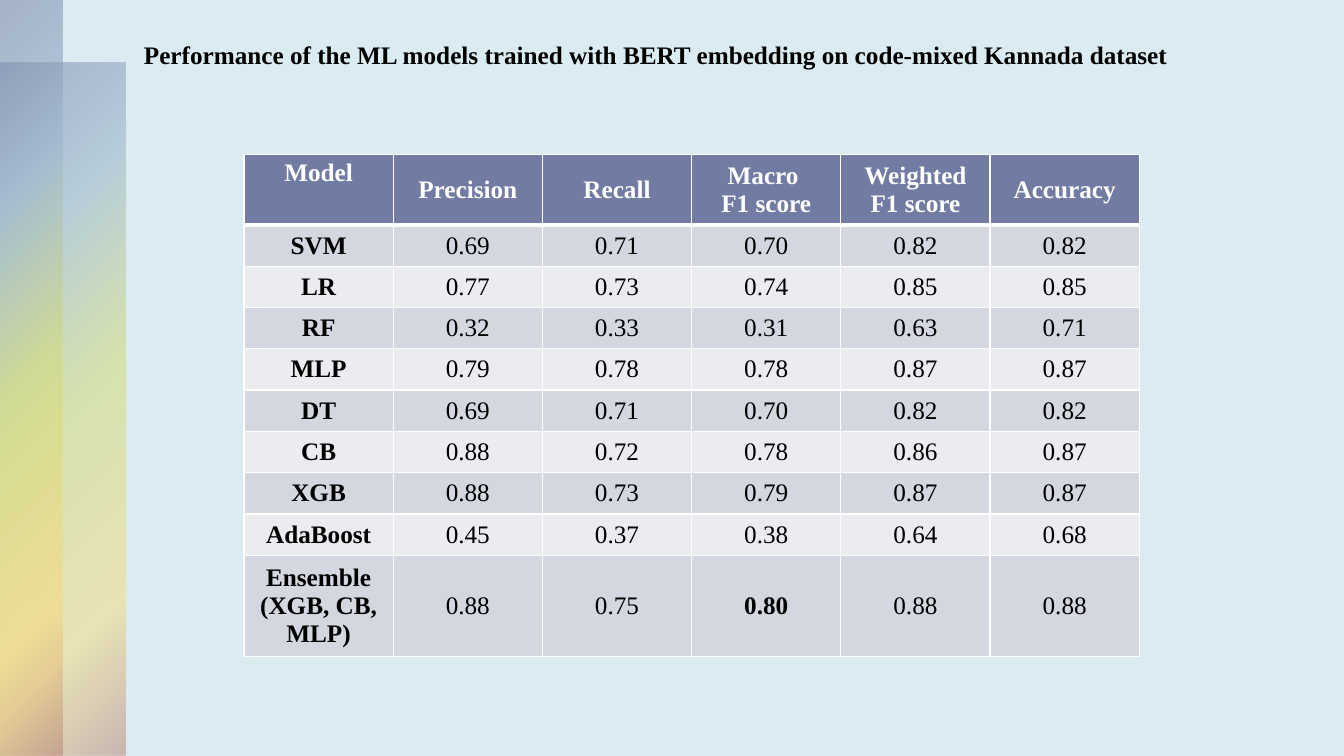
from lxml.etree import SubElement
from pptx import Presentation
from pptx.dml.color import RGBColor
from pptx.enum.shapes import MSO_SHAPE
from pptx.enum.text import MSO_ANCHOR, MSO_AUTO_SIZE, PP_ALIGN
from pptx.oxml import parse_xml
from pptx.oxml.ns import nsdecls, qn
from pptx.util import Inches, Pt

BACKGROUND = RGBColor(0xDA, 0xEC, 0xF1)
HEADER_FILL = RGBColor(0x72, 0x7C, 0xA3)
DARK_BAND = RGBColor(0xD4, 0xD6, 0xE0)
LIGHT_BAND = RGBColor(0xEB, 0xEC, 0xF0)
WHITE = RGBColor(0xFF, 0xFF, 0xFF)
BLACK = RGBColor(0x00, 0x00, 0x00)
BLUE = RGBColor(0x9F, 0xB8, 0xCD)
GREEN = RGBColor(0xD2, 0xDA, 0x7A)
YELLOW = RGBColor(0xFA, 0xDA, 0x7A)
BROWN = RGBColor(0xB8, 0x84, 0x72)

FONT = "Times New Roman"
FONT_SIZE = Pt(18)
TITLE = "Performance of the ML models trained with BERT embedding on code-mixed Kannada dataset"
HEADERS = ["Model", "Precision", "Recall", "Macro \nF1 score", "Weighted\nF1 score", "Accuracy"]
RESULTS = [
    ["SVM", "0.69", "0.71", "0.70", "0.82", "0.82"],
    ["LR", "0.77", "0.73", "0.74", "0.85", "0.85"],
    ["RF", "0.32", "0.33", "0.31", "0.63", "0.71"],
    ["MLP", "0.79", "0.78", "0.78", "0.87", "0.87"],
    ["DT", "0.69", "0.71", "0.70", "0.82", "0.82"],
    ["CB", "0.88", "0.72", "0.78", "0.86", "0.87"],
    ["XGB", "0.88", "0.73", "0.79", "0.87", "0.87"],
    ["AdaBoost", "0.45", "0.37", "0.38", "0.64", "0.68"],
    ["Ensemble\n(XGB, CB, MLP)", "0.88", "0.75", "0.80", "0.88", "0.88"],
]
BEST_SCORE = "0.80"
HEADER_HEIGHT, ROW_HEIGHT, ENSEMBLE_HEIGHT = 0.69, 0.41, 0.99


def style_text(text_frame, color, bold, alignment):
    """Format every run of a text frame."""
    for paragraph in text_frame.paragraphs:
        paragraph.alignment = alignment
        for run in paragraph.runs:
            run.font.name = FONT
            run.font.size = FONT_SIZE
            run.font.bold = bold
            run.font.color.rgb = color


def add_gradient_band(slide, left, top, width, height, green_position):
    """Add a translucent side band with a radial gradient from its top left corner."""
    band = slide.shapes.add_shape(
        MSO_SHAPE.RECTANGLE, Inches(left), Inches(top), Inches(width), Inches(height))
    band.shadow.inherit = False
    band.line.fill.background()
    stops = [(0, HEADER_FILL, 50), (25, BLUE, 60), (green_position, GREEN, 55),
             (81, YELLOW, 50), (99, BROWN, 50), (100, BROWN, 50)]
    stop_xml = "".join(
        f'<a:gs pos="{position * 1000}"><a:srgbClr val="{color}">'
        f'<a:alpha val="{opacity * 1000}"/></a:srgbClr></a:gs>'
        for position, color, opacity in stops)
    gradient = parse_xml(
        f'<a:gradFill {nsdecls("a")} rotWithShape="1"><a:gsLst>{stop_xml}</a:gsLst>'
        '<a:path path="circle"><a:fillToRect r="100000" b="100000"/></a:path></a:gradFill>')
    band.element.spPr.find(qn("a:prstGeom")).addnext(gradient)


def add_title(slide, left, top, width, height):
    """Add the slide heading."""
    title = slide.shapes.add_textbox(Inches(left), Inches(top), Inches(width), Inches(height))
    title.text_frame.word_wrap = True
    title.text_frame.auto_size = MSO_AUTO_SIZE.SHAPE_TO_FIT_TEXT
    title.text_frame.text = TITLE
    style_text(title.text_frame, BLACK, True, PP_ALIGN.LEFT)


def set_borders(cell, top, bottom):
    """Draw white cell borders with the given top and bottom widths in points."""
    properties = cell._tc.get_or_add_tcPr()
    for side, width in (("L", 1), ("R", 1), ("T", top), ("B", bottom)):
        line = SubElement(properties, qn(f"a:ln{side}"), w=str(Pt(width)))
        fill = SubElement(line, qn("a:solidFill"))
        SubElement(fill, qn("a:srgbClr"), val=str(WHITE))


def add_results_table(slide, left, top, width):
    """Add the banded table of model scores."""
    rows = [HEADERS] + RESULTS
    heights = [HEADER_HEIGHT] + [ROW_HEIGHT] * (len(RESULTS) - 1) + [ENSEMBLE_HEIGHT]
    table = slide.shapes.add_table(
        len(rows), len(HEADERS), Inches(left), Inches(top),
        Inches(width), Inches(sum(heights))).table
    for row_index, values in enumerate(rows):
        table.rows[row_index].height = Inches(heights[row_index])
        is_header = row_index == 0
        band_fill = DARK_BAND if row_index % 2 else LIGHT_BAND
        for column_index, value in enumerate(values):
            cell = table.cell(row_index, column_index)
            set_borders(cell, 3 if row_index == 1 else 1, 3 if is_header else 1)
            cell.fill.solid()
            cell.fill.fore_color.rgb = HEADER_FILL if is_header else band_fill
            is_corner = is_header and column_index == 0
            cell.vertical_anchor = MSO_ANCHOR.TOP if is_corner else MSO_ANCHOR.MIDDLE
            cell.text_frame.text = value
            bold = is_header or column_index == 0 or value == BEST_SCORE
            style_text(cell.text_frame, WHITE if is_header else BLACK, bold, PP_ALIGN.CENTER)


def build_results_slide(presentation):
    """Build the model performance slide."""
    slide = presentation.slides.add_slide(presentation.slide_layouts[6])
    slide.background.fill.solid()
    slide.background.fill.fore_color.rgb = BACKGROUND
    add_gradient_band(slide, 0, 0.62, 1.24, 6.88, 50)
    add_gradient_band(slide, 0, 0, 0.62, 7.5, 49)
    add_title(slide, 1.33, 0.34, 11.06, 0.4)
    add_results_table(slide, 2.42, 1.53, 8.88)


def main():
    """Create and save the presentation."""
    presentation = Presentation()
    presentation.slide_width = Inches(13.33)
    presentation.slide_height = Inches(7.5)
    build_results_slide(presentation)
    presentation.save("out.pptx")


if __name__ == "__main__":
    main()
